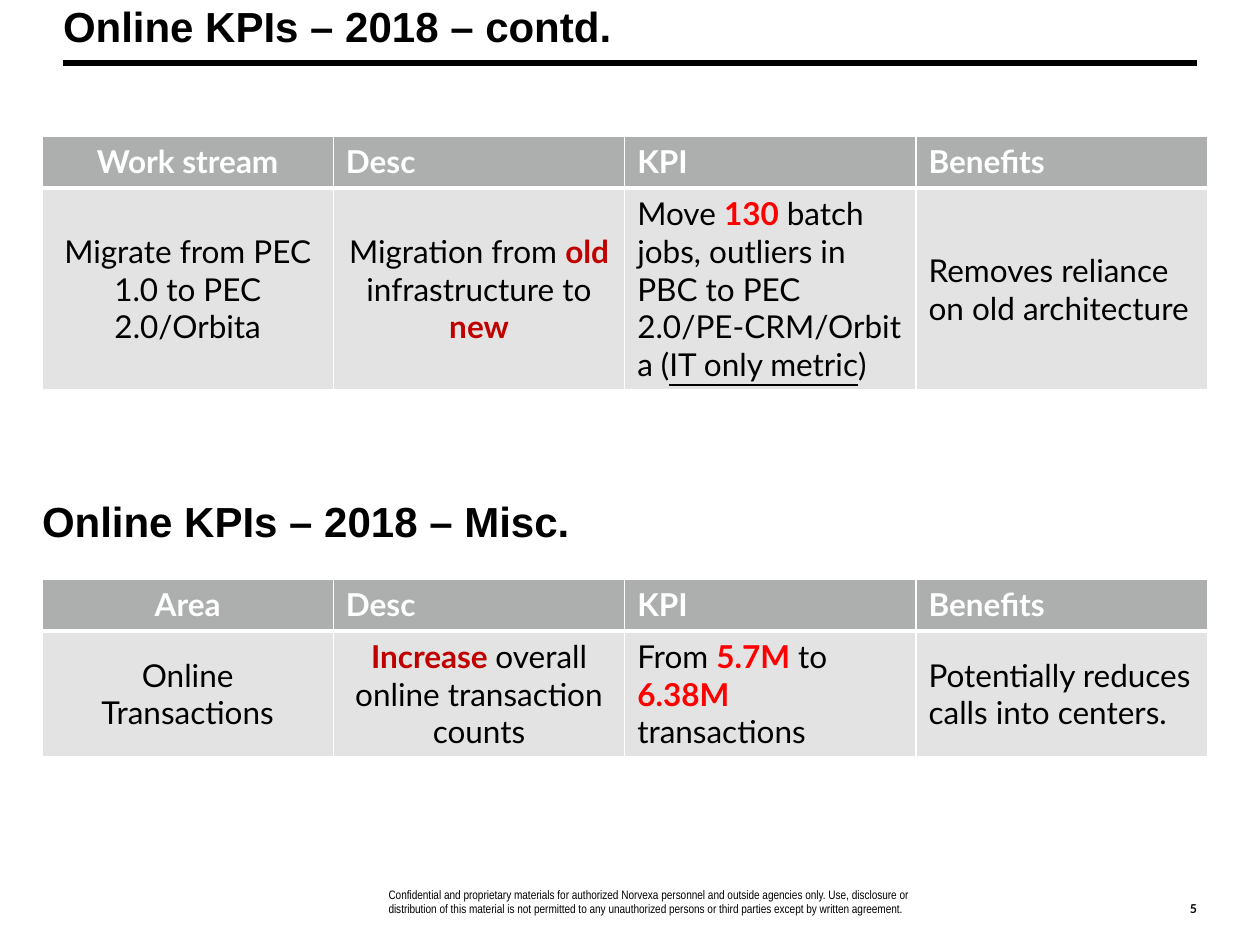
import pptx
import pptx.util
import pptx.dml.color
import pptx.enum.text
import pptx.enum.shapes
import pptx.oxml
import pptx.oxml.ns
from lxml import etree

Pt = pptx.util.Pt
ALIGN = pptx.enum.text.PP_ALIGN
ANCHOR = pptx.enum.text.MSO_ANCHOR

# Content: each run is (text, style)
COLORS = {"black": "000000", "white": "FFFFFF", "header": "ADAFAF",
          "body": "E3E3E3", "dark red": "C00000", "red": "FF0000"}
STYLES = {  # color, bold, underline
    "head": ("white", True, False),
    "plain": ("black", False, False),
    "under": ("black", False, True),
    "strong": ("black", True, False),
    "change": ("dark red", True, False),
    "figure": ("red", True, False),
}
TITLE = "Online KPIs – 2018 – contd."
SUBTITLE = "Online KPIs – 2018 – Misc."
NOTICE = ("Confidential and proprietary materials for authorized Norvexa personnel and "
          "outside agencies only. Use, disclosure or distribution of this material is not "
          "permitted to any unauthorized persons or third parties except by written agreement.")
TABLES = [
    {"top": 78, "row_heights": (29.5, 114.5),
     "headers": ["Work stream", "Desc", "KPI", "Benefits"],
     "cells": [
         [("Migrate from PEC 1.0 to PEC 2.0/Orbita", "plain")],
         [("Migration from ", "plain"), ("old ", "change"),
          ("infrastructure to ", "plain"), ("new", "change")],
         [("Move ", "plain"), ("130", "figure"),
          (" batch jobs, outliers in PBC to PEC 2.0/PE-CRM/Orbita (", "plain"),
          ("IT only metric", "under"), (")", "plain")],
         [("Removes reliance on old architecture", "plain")]]},
    {"top": 331, "row_heights": (29.5, 71.5),
     "headers": ["Area", "Desc", "KPI", "Benefits"],
     "cells": [
         [("Online Transactions", "plain")],
         [("Increase ", "change"), ("overall online transaction counts", "plain")],
         [("From ", "plain"), ("5.7M", "figure"), (" to ", "plain"),
          ("6.38M ", "figure"), ("transactions", "plain")],
         [("Potentially reduces calls into centers.", "plain")]]},
]
TABLE_LEFT, TABLE_WIDTH = 24, 666


def rgb(name):
    return pptx.dml.color.RGBColor.from_string(COLORS[name])


def style_font(font, size, face, style):
    color, bold, underline = STYLES[style]
    font.size, font.name, font.bold, font.underline = Pt(size), face, bold, underline
    font.color.rgb = rgb(color)


def set_frame(frame, anchor, right=0):
    frame.word_wrap = True
    frame.auto_size = pptx.enum.text.MSO_AUTO_SIZE.NONE
    frame.vertical_anchor = anchor
    frame.margin_left = frame.margin_top = frame.margin_bottom = 0
    frame.margin_right = Pt(right)


def add_box(left, top, width, height):
    return slide.shapes.add_textbox(Pt(left), Pt(top), Pt(width), Pt(height))


def write_heading(shape, text):
    set_frame(shape.text_frame, ANCHOR.TOP)
    shape.text_frame.text = text
    line = shape.text_frame.paragraphs[0]
    line.alignment, line.line_spacing = ALIGN.LEFT, 0.8
    style_font(line.runs[0].font, 24, "Arial", "strong")


def set_borders(cell, bottom):
    properties = cell._tc.get_or_add_tcPr()
    for i, (side, width) in enumerate((("L", 1), ("R", 1), ("T", 1), ("B", bottom))):
        properties.insert(i, pptx.oxml.parse_xml(
            f'<a:ln{side} {pptx.oxml.ns.nsdecls("a")} w="{Pt(width)}"><a:solidFill>'
            f'<a:srgbClr val="{COLORS["white"]}"/></a:solidFill></a:ln{side}>'))


def fill_cell(cell, runs, fill, centred, anchor, bottom):
    cell.fill.solid()
    cell.fill.fore_color.rgb = rgb(fill)
    cell.vertical_anchor = anchor
    paragraph = cell.text_frame.paragraphs[0]
    paragraph.alignment = ALIGN.CENTER if centred else ALIGN.LEFT
    for text, style in runs:
        run = paragraph.add_run()
        run.text = text
        style_font(run.font, 18, "Lato", style)
    set_borders(cell, bottom)


deck = pptx.Presentation()
deck.slide_width, deck.slide_height = Pt(720), Pt(540)
slide = deck.slides.add_slide(deck.slide_layouts[5])

# Headings and rule
title = slide.shapes.title
title.left, title.top, title.width, title.height = Pt(36), Pt(6), Pt(558), Pt(24)
write_heading(title, TITLE)
write_heading(add_box(24, 289, 558, 24), SUBTITLE)

rule = slide.shapes.add_connector(pptx.enum.shapes.MSO_CONNECTOR.STRAIGHT,
                                  Pt(36), Pt(36), Pt(684), Pt(36))
rule.line.color.rgb, rule.line.width = rgb("black"), Pt(3.75)
etree.SubElement(rule._element.spPr, pptx.oxml.ns.qn("a:effectLst"))

# Tables
for content in TABLES:
    heights = content["row_heights"]
    table = slide.shapes.add_table(2, 4, Pt(TABLE_LEFT), Pt(content["top"]),
                                   Pt(TABLE_WIDTH), Pt(sum(heights))).table
    for row, height in zip(table.rows, heights):
        row.height = Pt(height)
    for col, (header, runs) in enumerate(zip(content["headers"], content["cells"])):
        table.columns[col].width = Pt(TABLE_WIDTH / 4)
        fill_cell(table.cell(0, col), [(header, "head")], "header", col == 0, ANCHOR.TOP, 3)
        fill_cell(table.cell(1, col), runs, "body", col < 2, ANCHOR.MIDDLE, 1)
        # The edge between the rows belongs to both cells
        table.cell(1, col)._tc.tcPr.find(pptx.oxml.ns.qn("a:lnT")).set("w", str(Pt(3)))

# Footer
notice = add_box(222, 505.5, 317, 18).text_frame
set_frame(notice, ANCHOR.BOTTOM, right=14.4)
notice.text = NOTICE
style_font(notice.paragraphs[0].runs[0].font, 7, "Arial Narrow", "plain")

page = add_box(666, 505.5, 18, 18).text_frame
set_frame(page, ANCHOR.BOTTOM)
page.text = "5"
page.paragraphs[0].alignment = ALIGN.RIGHT
style_font(page.paragraphs[0].runs[0].font, 7, "Lato", "strong")

deck.save("out.pptx")
